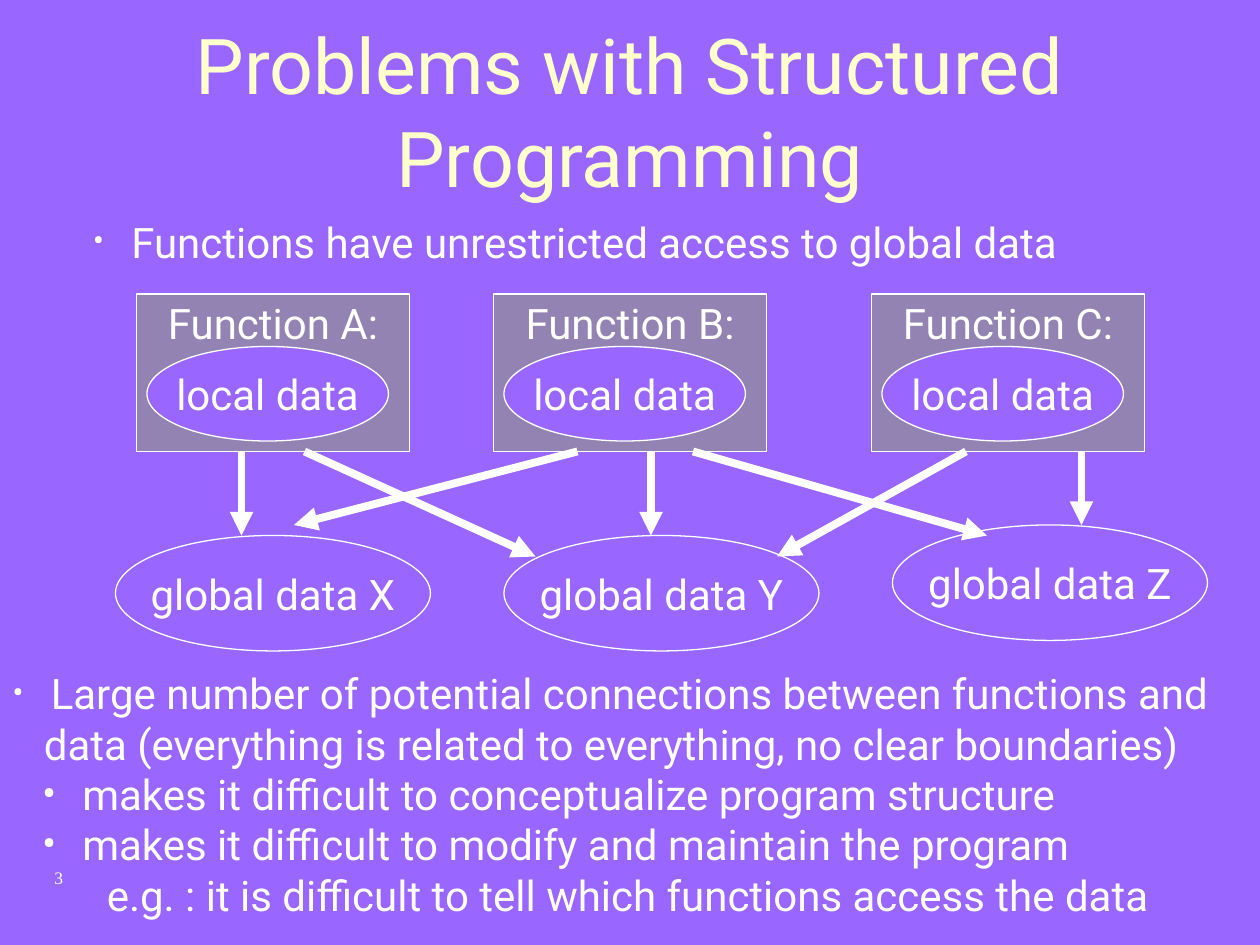
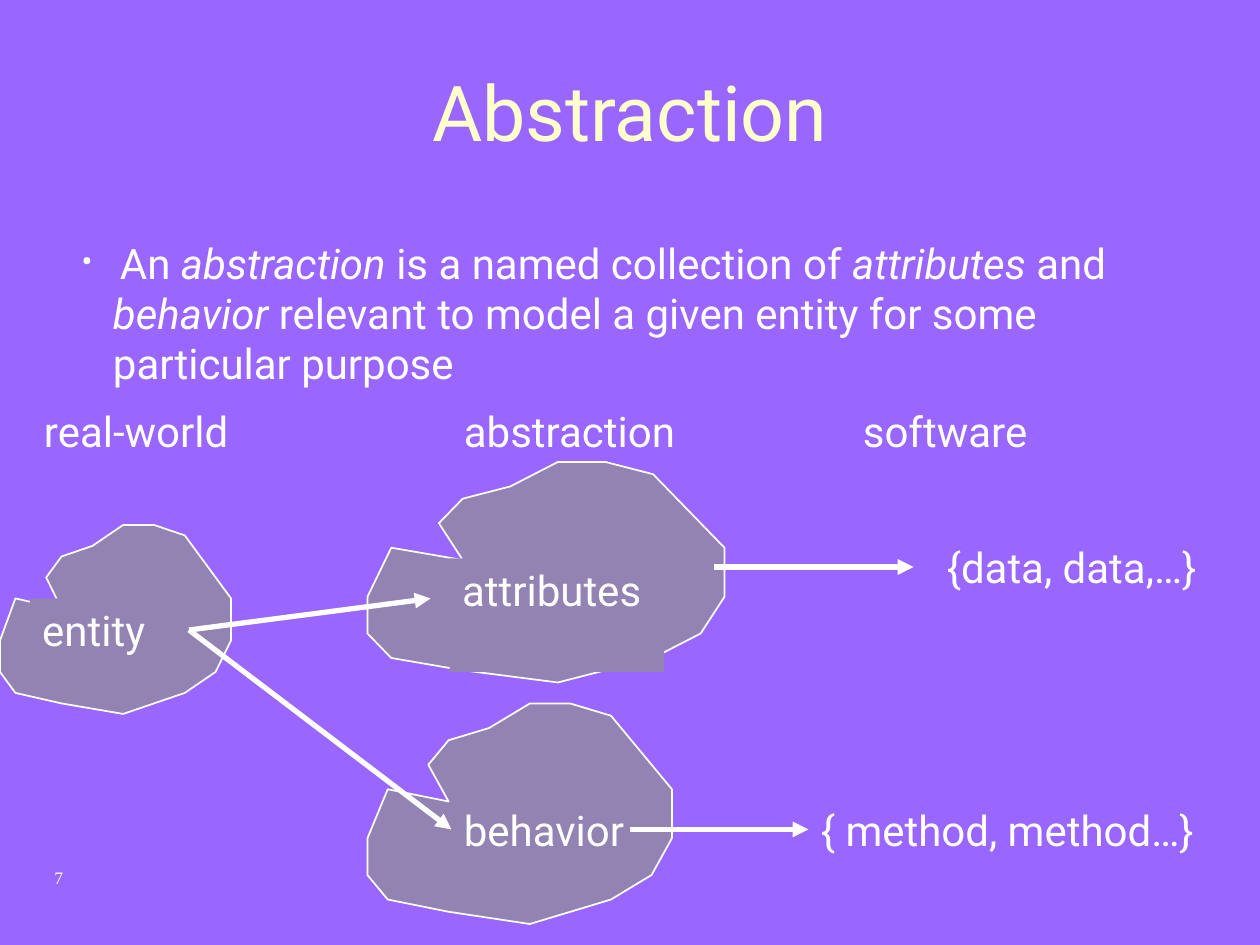
import pptx
import pptx.dml.color
import pptx.enum.shapes
import pptx.enum.text
import pptx.util
import pptx.oxml.ns
import lxml.etree

Pt = pptx.util.Pt
Shape = pptx.enum.shapes.MSO_SHAPE
Anchor = pptx.enum.text.MSO_ANCHOR
Align = pptx.enum.text.PP_ALIGN

# Shared style
PURPLE, MAUVE, WHITE, CREAM = "9966FF", "9383B3", "FFFFFF", "FFFFCC"
BODY_FONT, NUMBER_FONT = "Roboto", "Times New Roman"
BODY_SIZE, TITLE_SIZE, NUMBER_SIZE = 24, 44, 10
TITLE_BOX = (24, 18, 672, 90)
NUMBER_BOX = (24, 492, 180, 37)

# Paragraph levels: left margin, first-line indent, bullet size in percent
LEVELS = {
    "bullet": (22, -22, 80),
    "continued": (18, 0, None),
    "sub-bullet": (40, -23, 100),
    "example": (54, 0, None),
}

# Content of the structured programming slide
ACCESS_POINT = [("bullet", ["Functions have unrestricted access to global data"])]
FUNCTIONS = [("Function A:", 78), ("Function B:", 282), ("Function C:", 498)]
FUNCTION_TOP, FUNCTION_WIDTH, FUNCTION_HEIGHT = 168, 156, 90
FUNCTION_BOTTOM = FUNCTION_TOP + FUNCTION_HEIGHT
GLOBAL_DATA = [
    ("global data X", 66, 306),
    ("global data Y", 288, 306),
    ("global data Z", 510, 300),
]
ACCESS_ARROWS = [  # start x, end x, end y
    (138, 138, 306), (174, 306, 318),
    (330, 168, 300), (372, 372, 306), (396, 564, 306),
    (552, 444, 318), (618, 618, 300),
]
CONSEQUENCES = [
    ("bullet", ["Large number of potential connections between functions and"]),
    ("continued", ["data (everything is related to everything, no clear boundaries)"]),
    ("sub-bullet", ["makes it difficult to conceptualize program structure"]),
    ("sub-bullet", ["makes it difficult to modify and maintain the program"]),
    ("example", ["e.g. : it is difficult to tell which functions access the data"]),
]

# Content of the abstraction slide; every second run is italic
DEFINITION = [
    ("bullet", ["An ", "abstraction", " is a named collection of ", "attributes", " and"]),
    ("continued", ["", "behavior", " relevant to model a given entity for some"]),
    ("continued", ["particular purpose"]),
]
CLOUDS = [  # label, cloud box, label box
    ("entity", (0, 300, 132, 108), (17, 342, 106, 36)),
    ("attributes", (210, 264, 204, 126), (257, 319, 122.5, 65)),
    ("behavior", (210, 402, 174, 126), (258, 456, 114, 36)),
]
CLOUD_GRID = (15, 18)
CLOUD_OUTLINE = [
    (4, 8), (1, 7), (0, 11), (0, 14), (1, 16), (4, 17), (8, 18),
    (10, 17), (12, 16), (14, 14), (15, 11), (15, 7), (13, 3), (12, 1),
    (10, 0), (8, 0), (7, 1), (6, 2), (4, 3), (3, 5),
]
MODEL_ARROWS = [
    (108, 360, 246, 342), (108, 360, 258, 474),
    (408, 324, 522, 324), (360, 474, 462, 474),
]
LABELS = [
    ("{data, data,…}", (534, 306, 186, 36)),
    ("{ method, method…}", (462, 456, 270, 36)),
    ("real-world", (18, 228, 126, 65)),
    ("abstraction", (258, 228, 156, 36)),
    ("software", (486, 228, 156, 36)),
]


def color(hex_string):
    return pptx.dml.color.RGBColor.from_string(hex_string)


def add_xml(parent, tag, **attributes):
    child = lxml.etree.SubElement(parent, pptx.oxml.ns.qn(tag))
    for name, value in attributes.items():
        child.set(name, str(value))
    return child


def style_font(font, size=BODY_SIZE, name=BODY_FONT, hex_string=WHITE):
    font.size = Pt(size)
    font.name = name
    font.color.rgb = color(hex_string)


def write(shape, text, align=Align.LEFT, anchor=Anchor.TOP, wrap=True, **font):
    frame = shape.text_frame
    frame.text = text
    frame.word_wrap = wrap
    frame.vertical_anchor = anchor
    paragraph = frame.paragraphs[0]
    paragraph.alignment = align
    style_font(paragraph.runs[0].font, **font)


def add_text(slide, box, text, **options):
    write(slide.shapes.add_textbox(*map(Pt, box)), text, **options)


def paint(shape, fill, line_width=None):
    shape.shadow.inherit = False
    shape.fill.solid()
    shape.fill.fore_color.rgb = color(fill)
    if line_width is None:
        shape.line.fill.background()
    else:
        shape.line.color.rgb = color(WHITE)
        shape.line.width = Pt(line_width)


def add_shape(shapes, kind, box, fill, line_width=None):
    shape = shapes.add_shape(kind, *map(Pt, box))
    paint(shape, fill, line_width)
    return shape


def add_ellipse(slide, box, text):
    ellipse = add_shape(slide.shapes, Shape.OVAL, box, PURPLE, 0.75)
    write(ellipse, text, Align.CENTER, Anchor.MIDDLE, wrap=False)


def add_points(slide, box, points):
    frame = slide.shapes.add_textbox(*map(Pt, box)).text_frame
    frame.word_wrap = True
    for index, (level, runs) in enumerate(points):
        paragraph = frame.add_paragraph() if index else frame.paragraphs[0]
        margin, indent, bullet_size = LEVELS[level]
        properties = paragraph._p.get_or_add_pPr()
        properties.set("marL", str(Pt(margin)))
        properties.set("indent", str(Pt(indent)))
        if bullet_size:
            add_xml(add_xml(properties, "a:buClr"), "a:srgbClr", val=WHITE)
            add_xml(properties, "a:buSzPct", val=bullet_size * 1000)
            add_xml(properties, "a:buFont", typeface=BODY_FONT)
            add_xml(properties, "a:buChar", char="•")
        for position, text in enumerate(runs):
            if text:
                run = paragraph.add_run()
                run.text = text
                style_font(run.font)
                run.font.italic = position % 2 == 1


def add_arrow(slide, ends, width):
    arrow = slide.shapes.add_connector(
        pptx.enum.shapes.MSO_CONNECTOR.STRAIGHT, *map(Pt, ends))
    arrow.line.color.rgb = color(WHITE)
    arrow.line.width = Pt(width)
    add_xml(arrow.line._get_or_add_ln(), "a:tailEnd", type="triangle")
    add_xml(arrow._element.spPr, "a:effectLst")


def add_cloud(slide, text, cloud_box, label_box):
    group = slide.shapes.add_group_shape()
    left, top, width, height = cloud_box
    columns, rows = CLOUD_GRID
    outline = [(Pt(left + x * width / columns), Pt(top + y * height / rows))
               for x, y in CLOUD_OUTLINE]
    builder = group.shapes.build_freeform(*outline[0])
    builder.add_line_segments(outline[1:], close=True)
    paint(builder.convert_to_shape(), MAUVE, 1)
    write(add_shape(group.shapes, Shape.RECTANGLE, label_box, MAUVE), text)


def add_slide(presentation, title, number):
    slide = presentation.slides.add_slide(presentation.slide_layouts[6])
    slide.background.fill.solid()
    slide.background.fill.fore_color.rgb = color(PURPLE)
    add_text(slide, NUMBER_BOX, number, size=NUMBER_SIZE, name=NUMBER_FONT)
    add_text(slide, TITLE_BOX, title, align=Align.CENTER, anchor=Anchor.MIDDLE,
             size=TITLE_SIZE, hex_string=CREAM)
    return slide


def build_problems(presentation):
    slide = add_slide(presentation, "Problems with Structured Programming", "3")
    add_points(slide, (46, 120, 582, 65), ACCESS_POINT)

    # Functions with their local data
    for name, left in FUNCTIONS:
        box = (left, FUNCTION_TOP, FUNCTION_WIDTH, FUNCTION_HEIGHT)
        function = add_shape(slide.shapes, Shape.RECTANGLE, box, MAUVE, 0.75)
        write(function, name, Align.CENTER, wrap=False)
        function.text_frame.margin_top = Pt(2)
        add_ellipse(slide, (left + 6, FUNCTION_TOP + 30, 138, 54), "local data")

    # Global data and the accesses to it
    for name, left, top in GLOBAL_DATA:
        add_ellipse(slide, (left, top, 180, 66), name)
    for start_x, end_x, end_y in ACCESS_ARROWS:
        add_arrow(slide, (start_x, FUNCTION_BOTTOM, end_x, end_y), 4.5)

    add_points(slide, (0, 378, 750, 151), CONSEQUENCES)


def build_abstraction(presentation):
    slide = add_slide(presentation, "Abstraction", "7")
    add_points(slide, (39.5, 132, 623, 94), DEFINITION)
    for cloud in CLOUDS:
        add_cloud(slide, *cloud)
    for ends in MODEL_ARROWS:
        add_arrow(slide, ends, 3)
    for text, box in LABELS:
        add_text(slide, box, text)


def main():
    presentation = pptx.Presentation()
    presentation.slide_width, presentation.slide_height = Pt(720), Pt(540)
    build_problems(presentation)
    build_abstraction(presentation)
    presentation.save("out.pptx")


if __name__ == "__main__":
    main()
